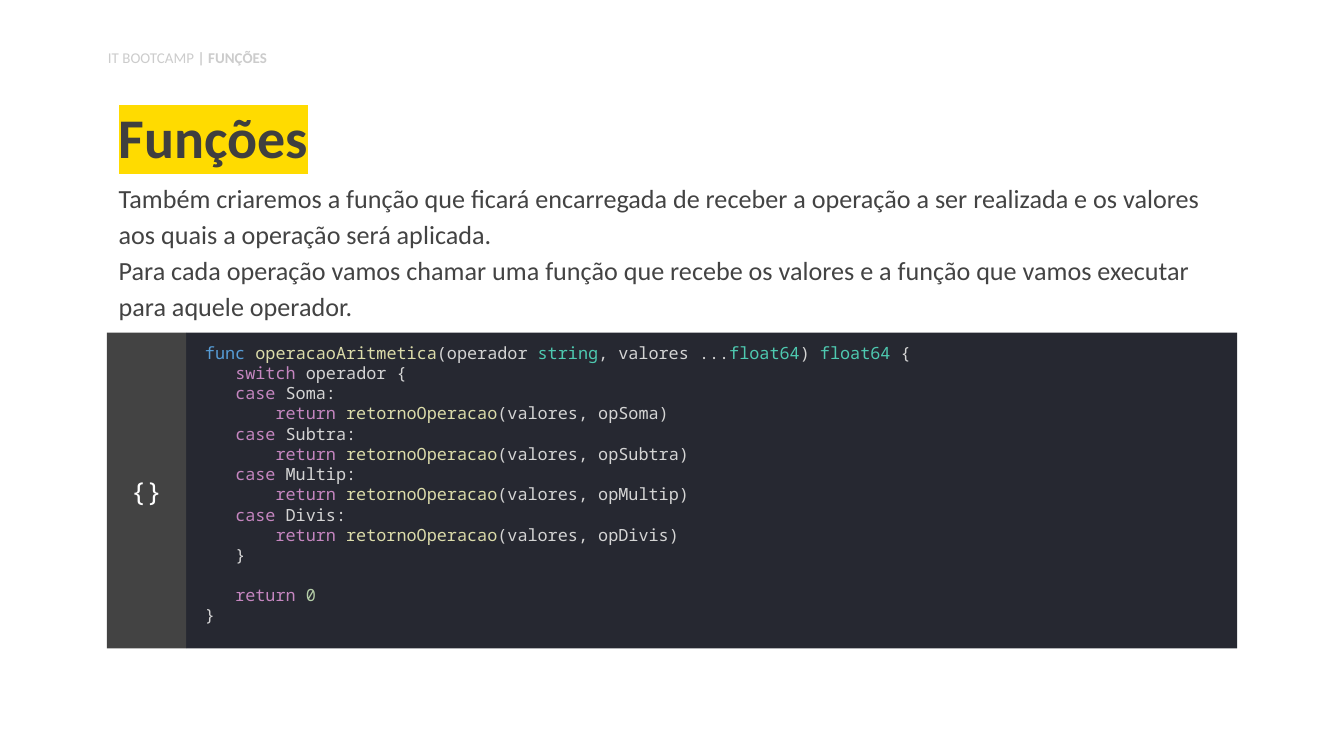
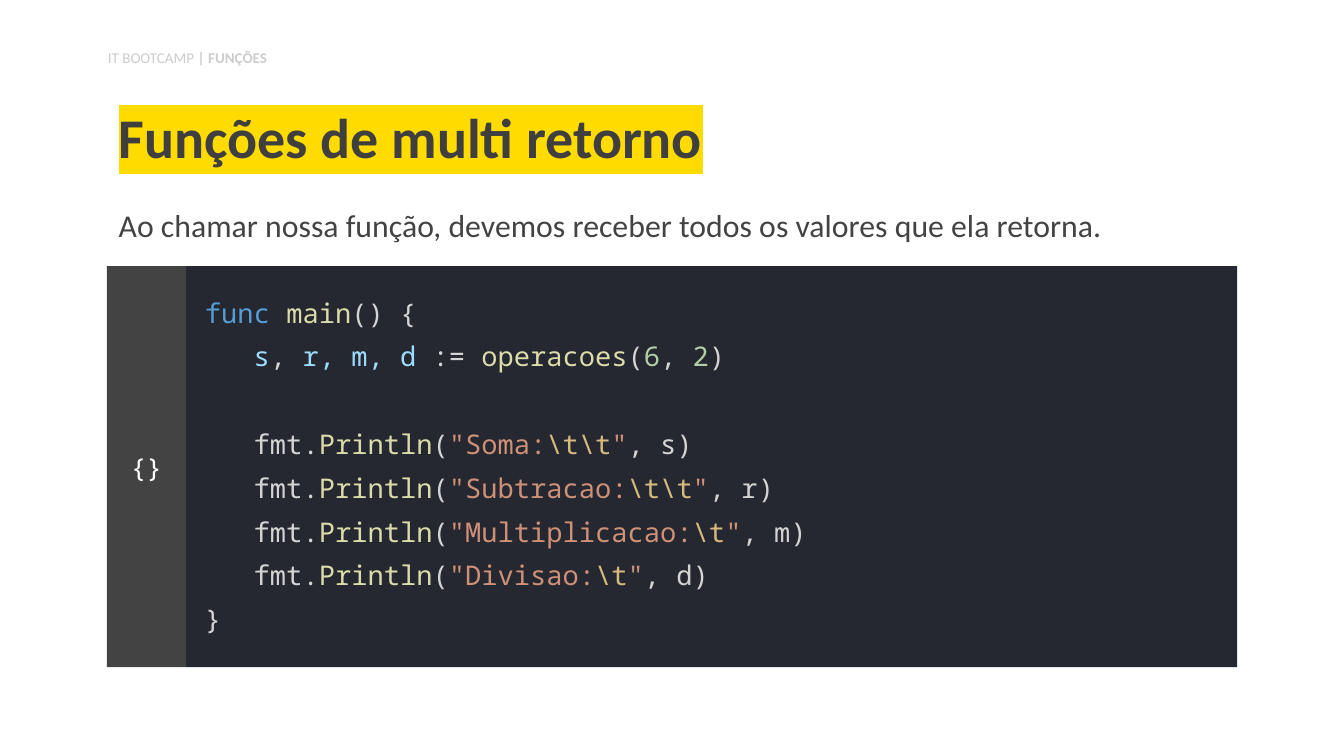
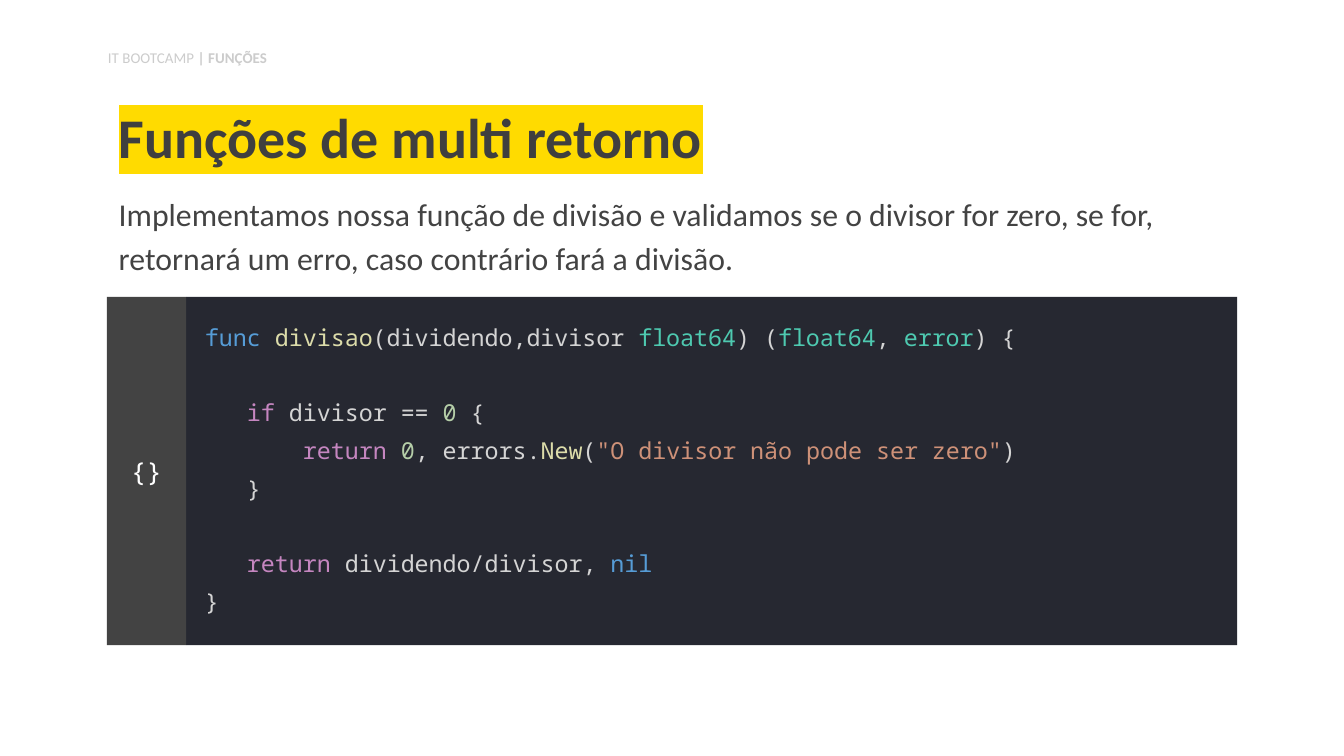
from dataclasses import dataclass

from lxml import etree
from pptx import Presentation
from pptx.dml.color import RGBColor
from pptx.enum.shapes import MSO_SHAPE
from pptx.enum.text import MSO_ANCHOR, PP_ALIGN
from pptx.oxml.ns import qn
from pptx.util import Pt

RECTANGLE = MSO_SHAPE.RECTANGLE
TOP, MIDDLE, BOTTOM = MSO_ANCHOR.TOP, MSO_ANCHOR.MIDDLE, MSO_ANCHOR.BOTTOM
LEFT, CENTER = PP_ALIGN.LEFT, PP_ALIGN.CENTER
EMU_PER_PX = 4572
SLIDE_WIDTH, SLIDE_HEIGHT = 2000, 1125


@dataclass(frozen=True)
class Theme:
    prose_font: str = "Calibri"
    code_font: str = "Noto Sans Mono"
    title: str = "3F3F3F"
    highlight: str = "FFDB00"
    body: str = "434343"
    header: str = "CCCCCC"
    gutter: str = "434343"
    code_panel: str = "262831"
    braces: str = "FFFFFF"
    keyword: str = "569CD6"
    control: str = "C586C0"
    function: str = "DCDCAA"
    datatype: str = "4EC9B0"
    plain: str = "D4D4D4"
    number: str = "B5CEA8"
    variable: str = "9CDCFE"
    string: str = "CE9178"
    escape: str = "D7BA7D"
    title_size: float = 30
    header_size: float = 8
    braces_size: float = 14
    code_column: float = 0.6
    code_line: float = 1.19
    loose_spacing: float = 1.357


THEME = Theme()


@dataclass(frozen=True)
class Box:
    left: int
    top: int
    width: int
    height: int

    def emu(self):
        return [px(n) for n in (self.left, self.top, self.width, self.height)]


HEADER_BOX = Box(141, 62, 628, 54)
TITLE_BOX = Box(157, 136, 1686, 138)
PROSE_LEFT, PROSE_WIDTH = 157, 1686
PANEL_LEFT, PANEL_WIDTH, GUTTER_WIDTH = 159, 1682, 118


def px(length):
    return length * EMU_PER_PX


def assign(target, **values):
    for name, value in values.items():
        setattr(target, name, value)


def set_frame(frame, anchor=TOP, insets=(20, 20, 20, 20)):
    left, top, right, bottom = map(px, insets)
    assign(frame, word_wrap=True, vertical_anchor=anchor, margin_left=left,
           margin_top=top, margin_right=right, margin_bottom=bottom)


def text_frame(slide, box, **frame_format):
    frame = slide.shapes.add_textbox(*box.emu()).text_frame
    set_frame(frame, **frame_format)
    return frame


def add_paragraph(frame, first, **values):
    paragraph = frame.paragraphs[0] if first else frame.add_paragraph()
    assign(paragraph, **values)
    return paragraph


def add_run(paragraph, text, color, size, name=THEME.prose_font, bold=False):
    run = paragraph.add_run()
    run.text = text
    assign(run.font, size=Pt(size), name=name, bold=bold)
    run.font.color.rgb = RGBColor.from_string(color)
    return run


def add_header(slide, box):
    frame = text_frame(slide, box, insets=(20, 10, 20, 10))
    paragraph = add_paragraph(frame, True, space_after=Pt(12))
    for text, bold in (("IT BOOTCAMP", False), (" | FUNÇÕES", True)):
        add_run(paragraph, text, THEME.header, THEME.header_size, bold=bold)


def add_title(slide, box, title):
    frame = text_frame(slide, box, anchor=BOTTOM)
    paragraph = add_paragraph(frame, True, line_spacing=0.9)
    run = add_run(paragraph, title, THEME.title, THEME.title_size, bold=True)
    highlight = etree.Element(qn("a:highlight"))
    etree.SubElement(highlight, qn("a:srgbClr"), val=THEME.highlight)
    run.font._element.find(qn("a:solidFill")).addnext(highlight)


def add_explanation(slide, box, sentences, size):
    frame = text_frame(slide, box)
    for index, sentence in enumerate(sentences):
        paragraph = add_paragraph(frame, index == 0, line_spacing=1.15)
        add_run(paragraph, sentence, THEME.body, size)


def add_block(group, box, color, **frame_format):
    block = group.shapes.add_shape(RECTANGLE, *box.emu())
    block.shadow.inherit = False
    block.fill.solid()
    block.fill.fore_color.rgb = RGBColor.from_string(color)
    block.line.fill.background()
    set_frame(block.text_frame, anchor=MIDDLE, **frame_format)
    return block.text_frame


def add_code_panel(slide, box, lines, size, spacing):
    group = slide.shapes.add_group_shape()
    code_box = Box(box.left + GUTTER_WIDTH, box.top, box.width - GUTTER_WIDTH, box.height)
    gutter_box = Box(box.left, box.top, GUTTER_WIDTH, box.height)

    code = add_block(group, code_box, THEME.code_panel, insets=(28, 0, 20, 20))
    for index, (depth, gap, tokens) in enumerate(lines):
        paragraph = add_paragraph(
            code, index == 0, alignment=LEFT, line_spacing=spacing,
            space_before=Pt(gap * size * spacing * THEME.code_line))
        columns = max(0, 4 * depth - 1)
        margin = Pt(columns * size * THEME.code_column)
        properties = paragraph._p.get_or_add_pPr()
        properties.set("marL", str(margin))
        properties.set("indent", "0")
        for role, text in tokens:
            add_run(paragraph, text, getattr(THEME, role), size, THEME.code_font)

    gutter = add_block(group, gutter_box, THEME.gutter)
    braces = add_paragraph(gutter, True, alignment=CENTER)
    add_run(braces, "{}", THEME.braces, THEME.braces_size, THEME.code_font)


def line(depth, *tokens, gap=0):
    return depth, gap, tokens


def plain(text):
    return "plain", text


def operation_lines():
    lines = [
        line(0, ("keyword", "func "), ("function", "operacaoAritmetica"),
             plain("(operador "), ("datatype", "string"), plain(", valores ..."),
             ("datatype", "float64"), plain(") "), ("datatype", "float64"), plain(" {")),
        line(1, ("control", "switch"), plain(" operador {")),
    ]
    for operation in ("Soma", "Subtra", "Multip", "Divis"):
        lines += [
            line(1, ("control", "case"), plain(f" {operation}:")),
            line(2, ("control", "return "), ("function", "retornoOperacao"),
                 plain(f"(valores, op{operation})")),
        ]
    return lines + [
        line(1, plain("}")),
        line(1, ("control", "return "), ("number", "0"), gap=1),
        line(0, plain("}")),
    ]


def main_lines():
    lines = [
        line(0, ("keyword", "func "), ("function", "main"), plain("() {")),
        line(1, ("variable", "s"), plain(", "), ("variable", "r, m, d"), plain(" := "),
             ("function", "operacoes"), plain("("), ("number", "6"), plain(", "),
             ("number", "2"), plain(")")),
    ]
    results = (("Soma", r"\t\t", "s"), ("Subtracao", r"\t\t", "r"),
               ("Multiplicacao", r"\t", "m"), ("Divisao", r"\t", "d"))
    for index, (label, tabs, result) in enumerate(results):
        lines.append(line(
            1, plain("fmt."), ("function", "Println"), plain("("),
            ("string", f'"{label}:'), ("escape", tabs), ("string", '"'),
            plain(f", {result})"), gap=int(index == 0)))
    return lines + [line(0, plain("}"))]


def division_lines():
    return [
        line(0, ("keyword", "func "), ("function", "divisao"),
             plain("(dividendo,divisor "), ("datatype", "float64"), plain(") ("),
             ("datatype", "float64"), plain(", "), ("datatype", "error"), plain(") {")),
        line(1, ("control", "if"), plain(" divisor == "), ("number", "0"), plain(" {"),
             gap=1),
        line(2, ("control", "return "), ("number", "0"), plain(", errors."),
             ("function", "New"), plain("("),
             ("string", '"O divisor não pode ser zero"'), plain(")")),
        line(1, plain("}")),
        line(1, ("control", "return"), plain(" dividendo/divisor, "),
             ("keyword", "nil"), gap=1),
        line(0, plain("}")),
    ]


LESSONS = (
    dict(
        title="Funções",
        sentences=(
            "Também criaremos a função que ficará encarregada de receber a operação "
            "a ser realizada e os valores aos quais a operação será aplicada.",
            "Para cada operação vamos chamar uma função que recebe os valores e a "
            "função que vamos executar para aquele operador.",
        ),
        prose_box=Box(PROSE_LEFT, 244, PROSE_WIDTH, 366), prose_size=14,
        panel_box=Box(PANEL_LEFT, 495, PANEL_WIDTH, 470),
        code=operation_lines(), code_size=9, spacing=1.0,
    ),
    dict(
        title="Funções de multi retorno",
        sentences=(
            "Ao chamar nossa função, devemos receber todos os valores que ela retorna.",
        ),
        prose_box=Box(PROSE_LEFT, 278, PROSE_WIDTH, 366), prose_size=17,
        panel_box=Box(PANEL_LEFT, 396, PANEL_WIDTH, 597),
        code=main_lines(), code_size=14.5, spacing=THEME.loose_spacing,
    ),
    dict(
        title="Funções de multi retorno",
        sentences=(
            "Implementamos nossa função de divisão e validamos se o divisor for zero, "
            "se for, retornará um erro, caso contrário fará a divisão.",
        ),
        prose_box=Box(PROSE_LEFT, 262, PROSE_WIDTH, 168), prose_size=17,
        panel_box=Box(PANEL_LEFT, 442, PANEL_WIDTH, 518),
        code=division_lines(), code_size=12.5, spacing=THEME.loose_spacing,
    ),
)


def add_lesson(deck, title, sentences, prose_box, prose_size, panel_box, code,
               code_size, spacing):
    slide = deck.slides.add_slide(deck.slide_layouts[6])
    add_explanation(slide, prose_box, sentences, prose_size)
    add_code_panel(slide, panel_box, code, code_size, spacing)
    add_title(slide, TITLE_BOX, title)
    add_header(slide, HEADER_BOX)


def main():
    deck = Presentation()
    assign(deck, slide_width=px(SLIDE_WIDTH), slide_height=px(SLIDE_HEIGHT))
    for lesson in LESSONS:
        add_lesson(deck, **lesson)
    deck.save("out.pptx")


if __name__ == "__main__":
    main()
